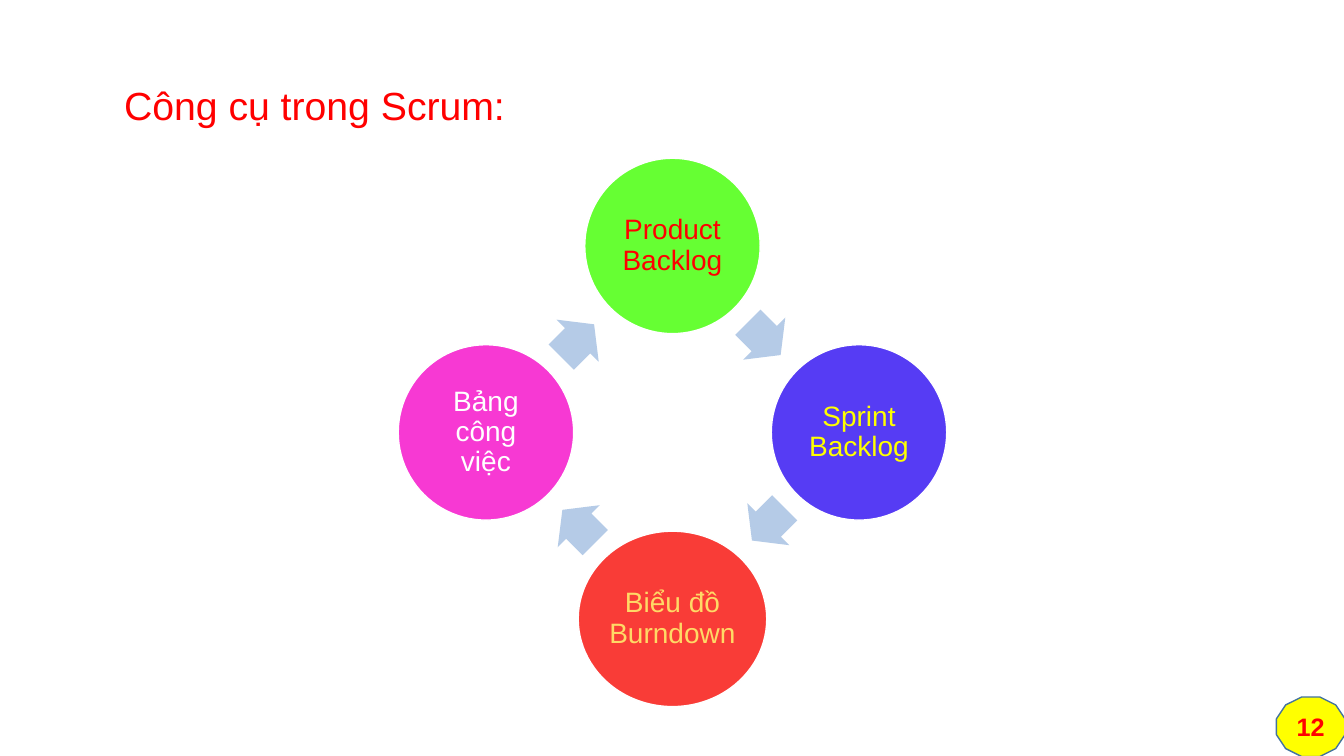
import math
from dataclasses import dataclass

from pptx import Presentation
from pptx.dml.color import RGBColor
from pptx.enum import shapes, text
from pptx.util import Inches, Pt

COLORS = {
    "white": "FFFFFF", "red": "FF0000", "yellow": "FFFF00", "gold": "FFD966",
    "green": "66FF33", "indigo": "563CF4", "coral": "F93C37", "magenta": "F739D3",
    "arrow": "B5CBE7", "badge_line": "43739E",
}
FONT = "Arial"
RING_X, RING_Y, RING_RADIUS = 6.67, 4.29, 1.85
CIRCLE_HEIGHT = 1.74
ARROW_WIDTH, ARROW_HEIGHT = 0.46, 0.59


@dataclass
class Tool:
    """A circle on the ring and the centre of the arrow that leaves it."""
    label: str
    fill: str
    ink: str
    arrow_x: float
    arrow_y: float
    width: float = 1.74


TOOLS = [
    Tool("Product Backlog", "green", "red", 7.58, 3.36),
    Tool("Sprint Backlog", "indigo", "yellow", 7.62, 5.2),
    Tool("Biểu đồ Burndown", "coral", "gold", 5.74, 5.22, width=1.87),
    Tool("Bảng công việc", "magenta", "white", 5.73, 3.38),
]


def color(name: str) -> RGBColor:
    return RGBColor.from_string(COLORS[name])


def add_centered_shape(page, kind, x: float, y: float, width: float, height: float,
                       fill: str, line: str | None = None):
    """Add a filled shape whose centre is at x, y."""
    shape = page.shapes.add_shape(kind, Inches(x - width / 2), Inches(y - height / 2),
                                  Inches(width), Inches(height))
    shape.shadow.inherit = False
    shape.fill.solid()
    shape.fill.fore_color.rgb = color(fill)
    if line:
        shape.line.color.rgb = color(line)
        shape.line.width = Pt(1)
    else:
        shape.line.fill.background()
    return shape


def write(shape, wording: str, size: float, ink: str, inset: float = 0,
          align=text.PP_ALIGN.CENTER, anchor=text.MSO_ANCHOR.MIDDLE,
          spacing: float = 0.9, bold: bool = False) -> None:
    frame = shape.text_frame
    frame.word_wrap = True
    frame.auto_size = text.MSO_AUTO_SIZE.NONE
    frame.vertical_anchor = anchor
    frame.margin_left = frame.margin_right = Inches(inset)
    frame.margin_top = frame.margin_bottom = Inches(min(inset, 0.05))
    para = frame.paragraphs[0]
    para.alignment = align
    para.line_spacing = spacing
    span = para.add_run()
    span.text = wording
    span.font.name = FONT
    span.font.size = Pt(size)
    span.font.bold = bold
    span.font.color.rgb = color(ink)


def add_title(page, wording: str) -> None:
    title = page.shapes.title
    title.left, title.top = Inches(1.13), Inches(0.81)
    title.width, title.height = Inches(7.45), Inches(0.41)
    write(title, wording, 28, "red", inset=0.1,
          align=text.PP_ALIGN.LEFT, anchor=text.MSO_ANCHOR.TOP)


def add_tool_ring(page) -> None:
    for index, tool in enumerate(TOOLS):
        angle = math.radians(90 * index)
        circle = add_centered_shape(
            page, shapes.MSO_SHAPE.OVAL,
            RING_X + RING_RADIUS * math.sin(angle), RING_Y - RING_RADIUS * math.cos(angle),
            tool.width, CIRCLE_HEIGHT, tool.fill, "white")
        write(circle, tool.label, 20, tool.ink, inset=0.03)
        arrow = add_centered_shape(page, shapes.MSO_SHAPE.RIGHT_ARROW, tool.arrow_x,
                                   tool.arrow_y, ARROW_WIDTH, ARROW_HEIGHT, "arrow")
        arrow.adjustments[0] = 0.6
        arrow.adjustments[1] = 0.5
        arrow.rotation = 45 + 90 * index


def add_page_badge(page, number: str) -> None:
    badge = add_centered_shape(page, shapes.MSO_SHAPE.DODECAGON, 13, 7.21, 0.68, 0.59,
                               "yellow", "badge_line")
    write(badge, number, 18, "red", spacing=1, bold=True)


def main() -> None:
    deck = Presentation()
    deck.slide_width, deck.slide_height = Inches(13.33), Inches(7.5)
    page = deck.slides.add_slide(deck.slide_layouts.get_by_name("Title Only"))
    add_title(page, "Công cụ trong Scrum:")
    add_tool_ring(page)
    add_page_badge(page, "12")
    deck.save("out.pptx")


if __name__ == "__main__":
    main()
